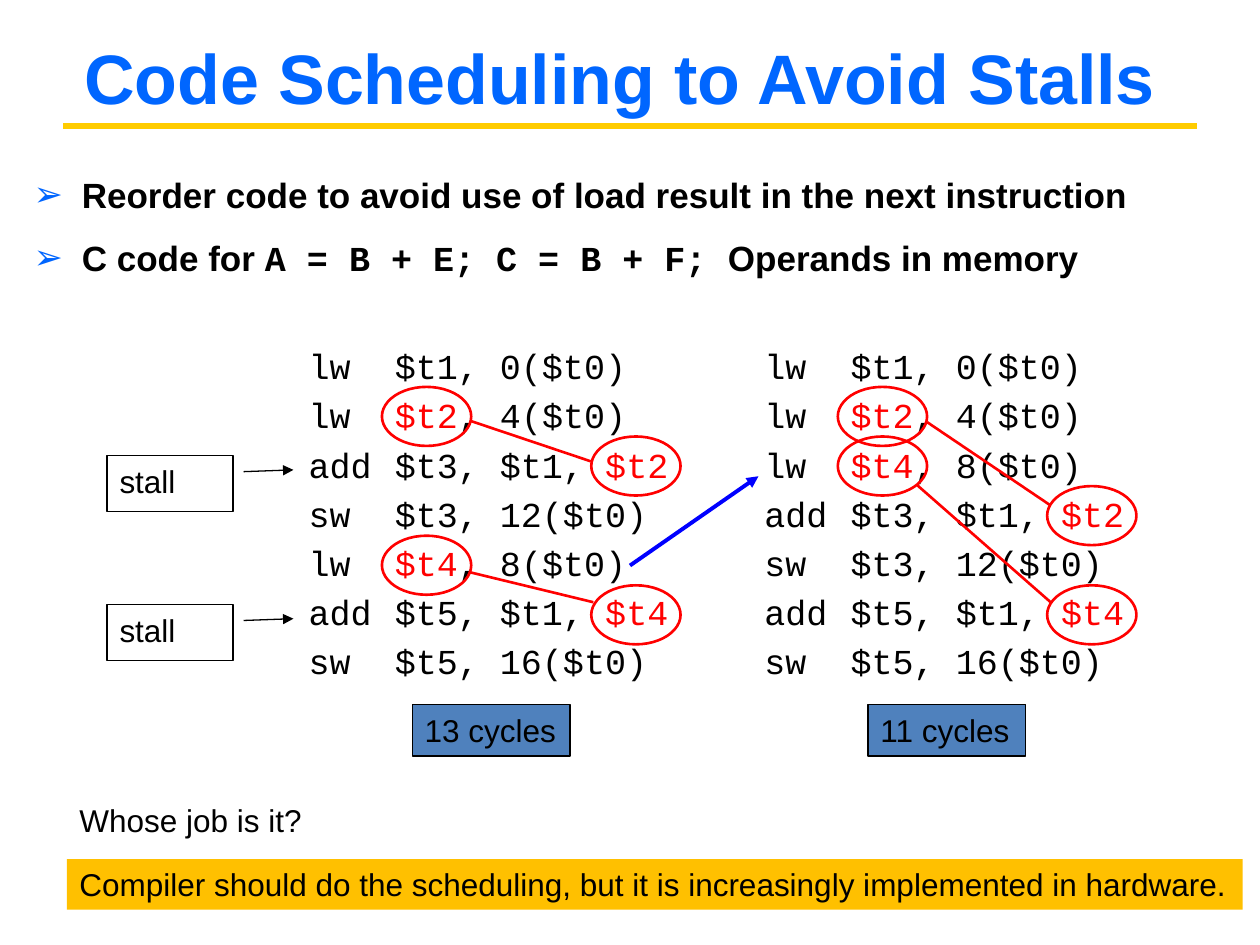
from lxml.etree import SubElement
from pptx import Presentation
from pptx.dml.color import RGBColor
from pptx.enum.shapes import MSO_CONNECTOR as Connector, MSO_SHAPE as Shape
from pptx.enum.text import MSO_ANCHOR as Anchor, MSO_AUTO_SIZE as AutoSize, PP_ALIGN as Align
from pptx.oxml.ns import qn
from pptx.util import Cm, Pt

COLORS = {
    "title": "0066FF", "rule": "FFCC00", "text": "000000", "hazard": "FF0000",
    "move": "0000FF", "cycles": "4F81BD", "banner": "FFC000",
}
SANS, MONO = "Arial", "Courier New"
COLUMN_STEP = 9.19
OPERAND_STEP = 4.22

ORIGINAL = [
    "lw\t$t1, 0($t0)", "lw\t|$t2|, 4($t0)", "add\t$t3, $t1, |$t2|", "sw\t$t3, 12($t0)",
    "lw\t|$t4|, 8($t0)", "add\t$t5, $t1, |$t4|", "sw\t$t5, 16($t0)",
]
SCHEDULED = [ORIGINAL[index] for index in (0, 1, 4, 2, 3, 5, 6)]


class SlideBuilder:
    """Draw styled elements on one slide, with lengths in centimetres."""

    def __init__(self, slide):
        self.slide = slide

    def color(self, name):
        return RGBColor.from_string(COLORS[name])

    def add_element(self, parent, tag, **attributes):
        return SubElement(parent, qn(tag), attributes)

    def style(self, paragraph, size, font=SANS, bold=False, color="text"):
        paragraph.font.size = Pt(size)
        paragraph.font.bold = bold
        paragraph.font.color.rgb = self.color(color)
        if font:
            paragraph.font.name = font

    def text_box(self, left, top, width, height, wrap=True):
        box = self.slide.shapes.add_textbox(Cm(left), Cm(top), Cm(width), Cm(height))
        box.text_frame.word_wrap = wrap
        return box.text_frame

    def label(self, text, box, size=18, wrap=True, **style):
        frame = self.text_box(*box, wrap=wrap)
        frame.text = text
        self.style(frame.paragraphs[0], size, **style)
        return frame

    def title(self, text, box):
        frame = self.label(text, box, size=40, bold=True, color="title")
        frame.vertical_anchor = Anchor.MIDDLE
        frame.paragraphs[0].alignment = Align.CENTER

    def bullets(self, items, box):
        frame = self.text_box(*box)
        frame.margin_top = Cm(0.17)
        for index, runs in enumerate(items):
            paragraph = frame.add_paragraph() if index else frame.paragraphs[0]
            paragraph.line_spacing = 1.25
            if index:
                paragraph.space_before = Pt(6)
            properties = paragraph._p.get_or_add_pPr()
            properties.set("marL", str(Cm(0.97)))
            properties.set("indent", str(-Cm(0.97)))
            bullet_color = self.add_element(properties, "a:buClr")
            self.add_element(bullet_color, "a:srgbClr", val=COLORS["title"])
            self.add_element(properties, "a:buFont", typeface=SANS)
            self.add_element(properties, "a:buChar", char="➢")
            self.style(paragraph, 20, font=SANS if len(runs) == 1 else None, bold=True)
            for text, font in runs:
                run = paragraph.add_run()
                run.text = text
                if len(runs) > 1:
                    run.font.name = font

    def code(self, lines, box):
        frame = self.text_box(*box, wrap=False)
        for index, line in enumerate(lines):
            paragraph = frame.add_paragraph() if index else frame.paragraphs[0]
            if index:
                paragraph.space_before = Pt(4)
            tabs = self.add_element(paragraph._p.get_or_add_pPr(), "a:tabLst")
            self.add_element(tabs, "a:tab", pos=str(Cm(1.74)), algn="l")
            self.style(paragraph, 20, font=MONO)
            for position, text in enumerate(line.split("|")):
                if text:
                    run = paragraph.add_run()
                    run.text = text
                    if position % 2:
                        run.font.color.rgb = self.color("hazard")

    def shape(self, kind, box, fill=None, line=None, width=0.75):
        shape = self.slide.shapes.add_shape(kind, *map(Cm, box))
        shape.shadow.inherit = False
        if fill:
            shape.fill.solid()
            shape.fill.fore_color.rgb = self.color(fill)
        else:
            shape.fill.background()
        if line:
            shape.line.color.rgb = self.color(line)
            shape.line.width = Pt(width)
        else:
            shape.line.fill.background()
        return shape

    def text_shape(self, text, kind, box, wrap=True, **look):
        shape = self.shape(kind, box, **look)
        frame = shape.text_frame
        frame.text = text
        frame.word_wrap = wrap
        frame.vertical_anchor = Anchor.TOP
        frame.paragraphs[0].alignment = Align.LEFT
        self.style(frame.paragraphs[0], 18)
        return shape

    def arrowhead(self, shape):
        outline = shape._element.spPr.find(qn("a:ln"))
        self.add_element(outline, "a:tailEnd", type="triangle")

    def callout(self, text, box):
        shape = self.text_shape(text, Shape.LINE_CALLOUT_1, box, line="text")
        for index, value in enumerate((0.285, 1.083, 0.253, 1.479)):
            shape.adjustments[index] = value
        self.arrowhead(shape)

    def line(self, points, color, width, arrow=False):
        connector = self.slide.shapes.add_connector(Connector.STRAIGHT, *map(Cm, points))
        connector.line.color.rgb = self.color(color)
        connector.line.width = Pt(width)
        if arrow:
            self.arrowhead(connector)
        self.add_element(connector._element.spPr, "a:effectLst")


def main():
    presentation = Presentation()
    presentation.slide_width, presentation.slide_height = Cm(25.4), Cm(19.05)
    builder = SlideBuilder(presentation.slides.add_slide(presentation.slide_layouts[6]))

    builder.line((1.27, 2.54, 24.13, 2.54), "rule", 3)
    builder.title("Code Scheduling to Avoid Stalls", (0.43, 0.76, 24.13, 1.57))
    builder.bullets([
        [("Reorder code to avoid use of load result in the next instruction", SANS)],
        [("C code for ", SANS), ("A = B + E; C = B + F; ", MONO), ("Operands in memory", SANS)],
    ], (0.43, 3.12, 24.56, 3.2))

    for top in (9.19, 12.19):
        builder.callout("stall", (2.16, top, 2.54, 1.12))

    columns = [(ORIGINAL, "13 cycles"), (SCHEDULED, "11 cycles")]
    for column, (lines, cycles) in enumerate(columns):
        offset = column * COLUMN_STEP
        builder.code(lines, (5.97 + offset, 6.83, 7.77, 7.19))
        for row, line in enumerate(lines):
            if "|" in line:
                operand = OPERAND_STEP if line.startswith("add") else 0
                builder.shape(Shape.OVAL, (7.7 + offset + operand, 6.8 + row, 1.8, 1.19),
                              line="hazard", width=1.5)
        box = builder.text_shape(cycles, Shape.RECTANGLE, (8.31 + offset, 14.2, 3.18, 1.04),
                                 wrap=False, fill="cycles", line="text")
        box.text_frame.auto_size = AutoSize.SHAPE_TO_FIT_TEXT

    dependencies = [
        (9.47, 8.48, 11.91, 9.3), (9.45, 11.53, 11.96, 12.14),
        (18.69, 8.51, 21.18, 10.19), (18.49, 9.78, 21.18, 12.14),
    ]
    for points in dependencies:
        builder.line(points, "hazard", 1.5)
    builder.line((12.7, 11.4, 15.29, 9.6), "move", 2.25, arrow=True)

    builder.label("Whose job is it?", (1.35, 16.03, 5.21, 1.02), wrap=False)
    builder.text_shape(
        "Compiler should do the scheduling, but it is increasingly implemented in hardware.",
        Shape.RECTANGLE, (1.35, 17.32, 23.7, 1.02), fill="banner")
    presentation.save("out.pptx")


if __name__ == "__main__":
    main()
